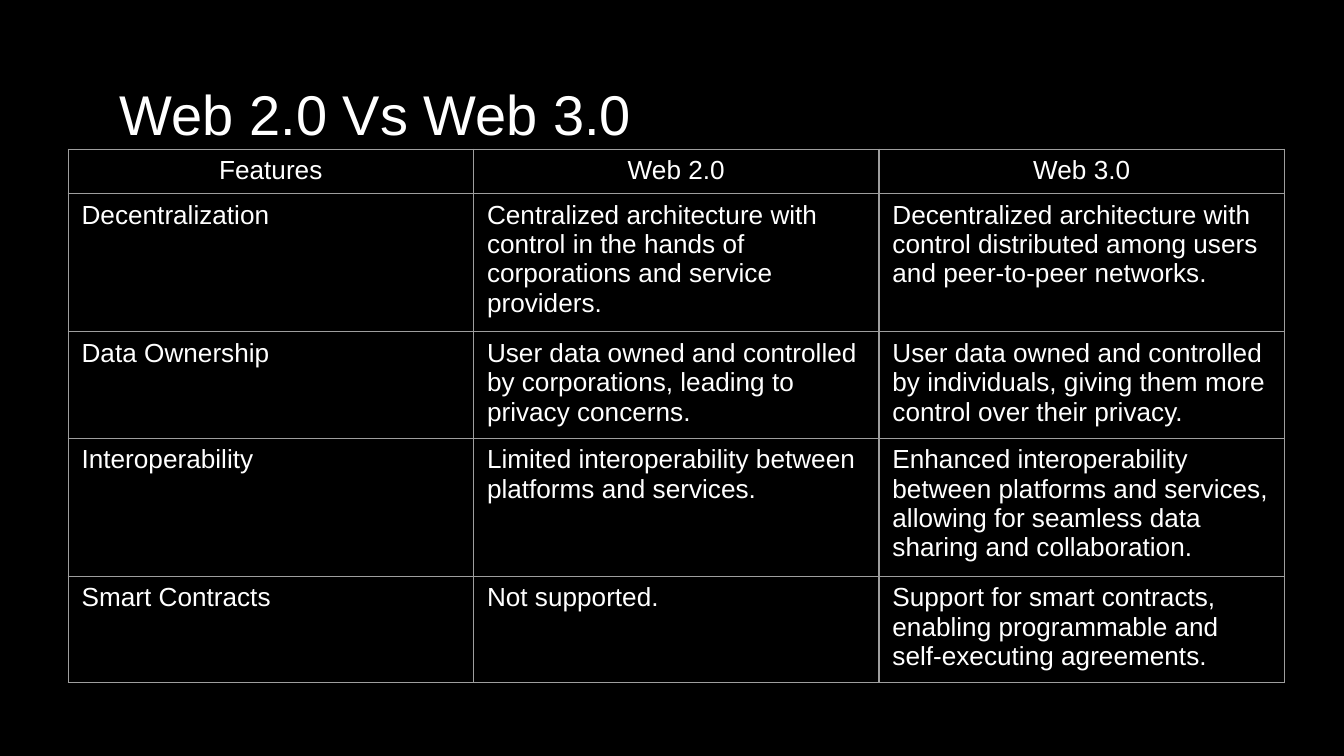
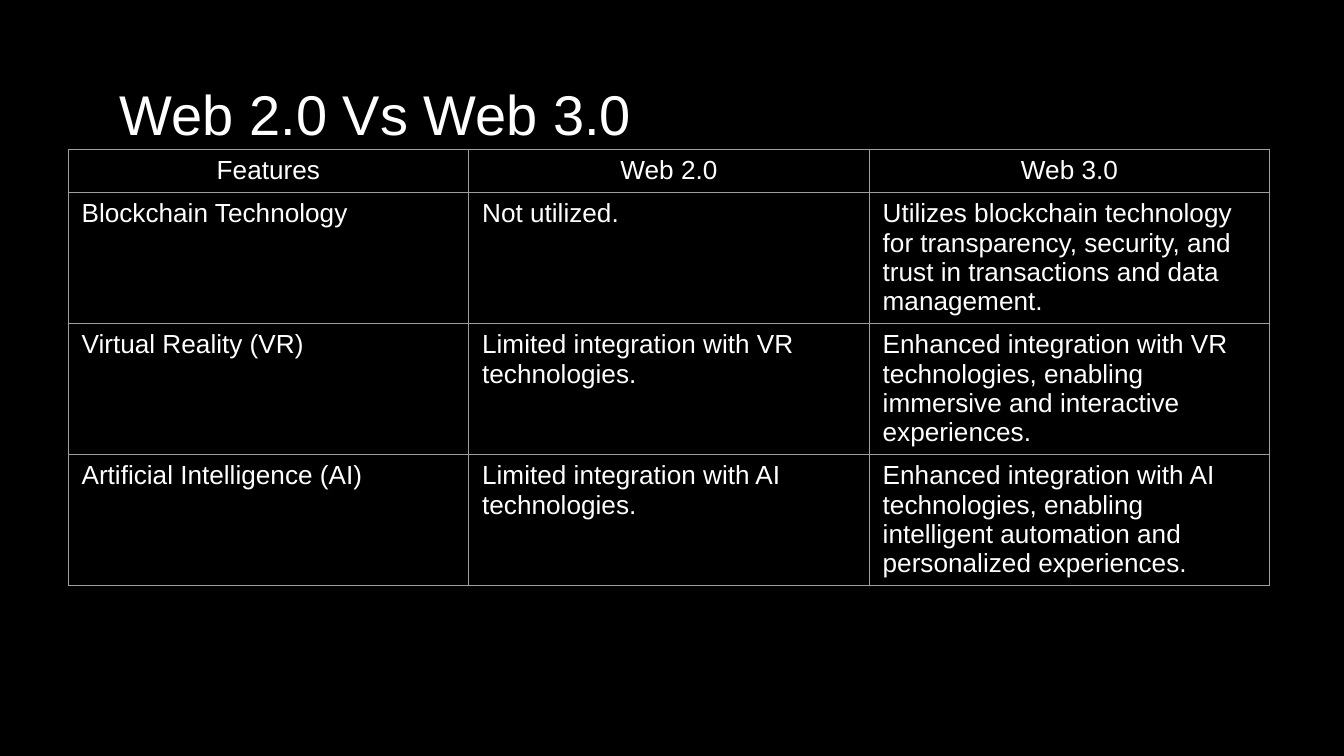
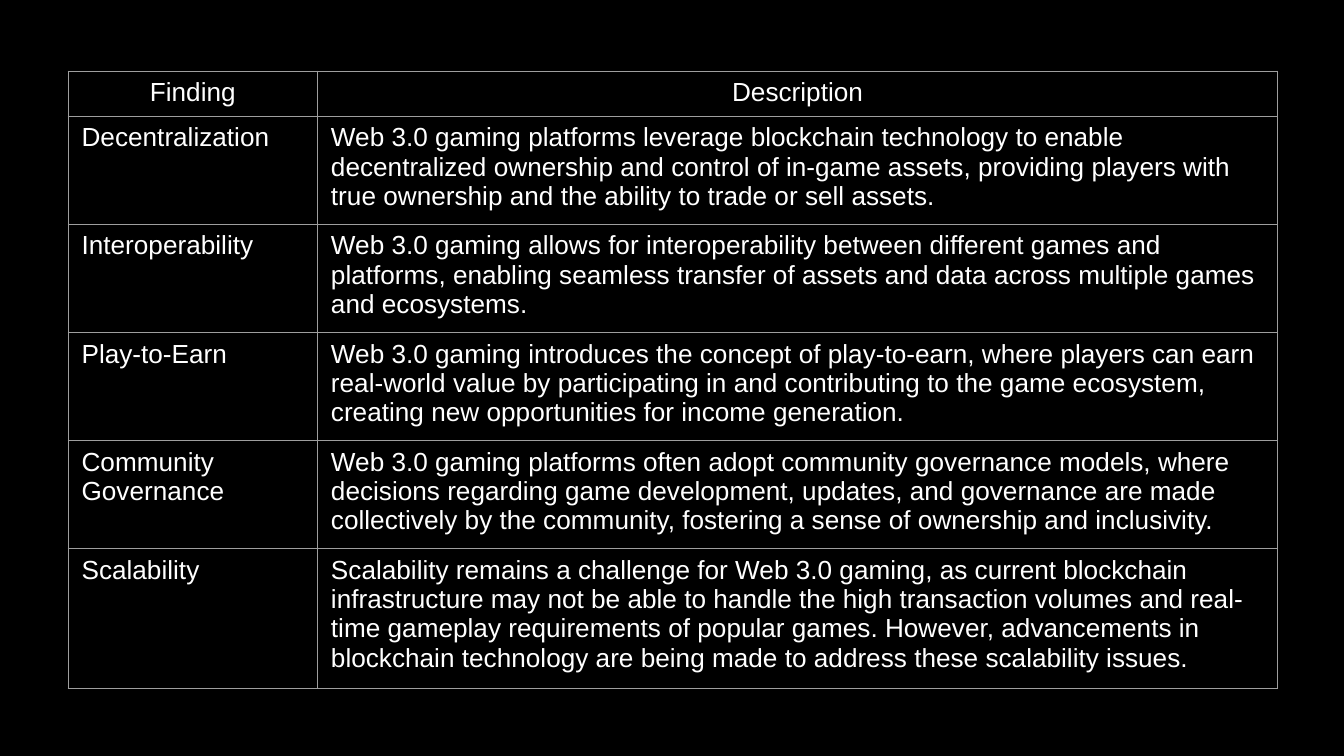
from lxml import etree
from pptx import Presentation
from pptx.dml.color import RGBColor
from pptx.enum import text
from pptx.oxml import ns
from pptx.util import Pt

FONT = "Arial"
BLACK, WHITE, GRAY = "000000", "FFFFFF", "9E9E9E"
TITLE_BOX = (57, 35.3, 607, 45.4)
TABLE_LEFT = 36.5
TITLE_SIZE, CELL_SIZE, BORDER = 30, 14, 0.75
TITLE_ONLY, BLANK = 5, 6

VERSUS = "Web 2.0 Vs Web 3.0"
VERSUS_HEAD = ("Features", "Web 2.0", "Web 3.0")

SLIDES = [
    {
        "title": VERSUS, "top": 80, "cols": [217.2] * 3,
        "heights": [23.8, 74, 57, 74, 57],
        "rows": [
            VERSUS_HEAD,
            ("Decentralization",
             "Centralized architecture with control in the hands of corporations and service providers.",
             "Decentralized architecture with control distributed among users and peer-to-peer networks."),
            ("Data Ownership",
             "User data owned and controlled by corporations, leading to privacy concerns.",
             "User data owned and controlled by individuals, giving them more control over their privacy."),
            ("Interoperability",
             "Limited interoperability between platforms and services.",
             "Enhanced interoperability between platforms and services, allowing for seamless data "
             "sharing and collaboration."),
            ("Smart Contracts",
             "Not supported.",
             "Support for smart contracts, enabling programmable and self-executing agreements."),
        ],
    },
    {
        "title": VERSUS, "top": 80, "cols": [214.6] * 3,
        "heights": [23] + [70.2] * 3,
        "rows": [
            VERSUS_HEAD,
            ("Blockchain Technology",
             "Not utilized.",
             "Utilizes blockchain technology for transparency, security, and trust in transactions "
             "and data management."),
            ("Virtual Reality (VR)",
             "Limited integration with VR technologies.",
             "Enhanced integration with VR technologies, enabling immersive and interactive experiences."),
            ("Artificial Intelligence (AI)",
             "Limited integration with AI technologies.",
             "Enhanced integration with AI technologies, enabling intelligent automation and "
             "personalized experiences."),
        ],
    },
    {
        "title": None, "top": 38.2, "cols": [133.6, 514.4],
        "heights": [24.2] + [57.9] * 4 + [75],
        "rows": [
            ("Finding", "Description"),
            ("Decentralization",
             "Web 3.0 gaming platforms leverage blockchain technology to enable decentralized "
             "ownership and control of in-game assets, providing players with true ownership and "
             "the ability to trade or sell assets."),
            ("Interoperability",
             "Web 3.0 gaming allows for interoperability between different games and platforms, "
             "enabling seamless transfer of assets and data across multiple games and ecosystems."),
            ("Play-to-Earn",
             "Web 3.0 gaming introduces the concept of play-to-earn, where players can earn "
             "real-world value by participating in and contributing to the game ecosystem, "
             "creating new opportunities for income generation."),
            ("Community Governance",
             "Web 3.0 gaming platforms often adopt community governance models, where decisions "
             "regarding game development, updates, and governance are made collectively by the "
             "community, fostering a sense of ownership and inclusivity."),
            ("Scalability",
             "Scalability remains a challenge for Web 3.0 gaming, as current blockchain "
             "infrastructure may not be able to handle the high transaction volumes and real-time "
             "gameplay requirements of popular games. However, advancements in blockchain "
             "technology are being made to address these scalability issues."),
        ],
    },
]


def color(hex_string):
    return RGBColor.from_string(hex_string)


def format_text(tf, size, align):
    for p in tf.paragraphs:
        p.alignment = align
        for r in p.runs:
            r.font.name, r.font.size = FONT, Pt(size)
            r.font.color.rgb = color(WHITE)


def add_title(s, title):
    sp = s.shapes.title
    sp.left, sp.top, sp.width, sp.height = map(Pt, TITLE_BOX)
    tf = sp.text_frame
    tf.text = title
    tf.word_wrap = True
    tf.auto_size = text.MSO_AUTO_SIZE.NONE
    tf.vertical_anchor = text.MSO_ANCHOR.TOP
    tf.margin_left = tf.margin_right = tf.margin_top = tf.margin_bottom = Pt(7.2)
    format_text(tf, TITLE_SIZE, text.PP_ALIGN.LEFT)


def add_borders(cell):
    tc_pr = cell._tc.get_or_add_tcPr()
    for side in ("lnL", "lnR", "lnT", "lnB"):
        ln = etree.SubElement(tc_pr, ns.qn(f"a:{side}"), w=str(Pt(BORDER)))
        fill = etree.SubElement(ln, ns.qn("a:solidFill"))
        etree.SubElement(fill, ns.qn("a:srgbClr"), val=GRAY)


def add_grid(s, top, cols, heights, rows):
    frame = s.shapes.add_table(len(rows), len(cols), Pt(TABLE_LEFT), Pt(top),
                               Pt(sum(cols)), Pt(sum(heights)))
    table = frame.table
    table.first_row = table.horz_banding = False
    for column, width in zip(table.columns, cols):
        column.width = Pt(width)
    for i, (height, row) in enumerate(zip(heights, rows)):
        table.rows[i].height = Pt(height)
        align = text.PP_ALIGN.LEFT if i else text.PP_ALIGN.CENTER
        for j, content in enumerate(row):
            cell = table.cell(i, j)
            cell.text_frame.text = content
            format_text(cell.text_frame, CELL_SIZE, align)
            add_borders(cell)
            cell.fill.background()


def main():
    prs = Presentation()
    prs.slide_width, prs.slide_height = Pt(720), Pt(405)
    background = prs.slide_master.background.fill
    background.solid()
    background.fore_color.rgb = color(BLACK)
    for slide in SLIDES:
        layout = TITLE_ONLY if slide["title"] else BLANK
        s = prs.slides.add_slide(prs.slide_layouts[layout])
        if slide["title"]:
            add_title(s, slide["title"])
        add_grid(s, slide["top"], slide["cols"], slide["heights"], slide["rows"])
    prs.save("out.pptx")


if __name__ == "__main__":
    main()
